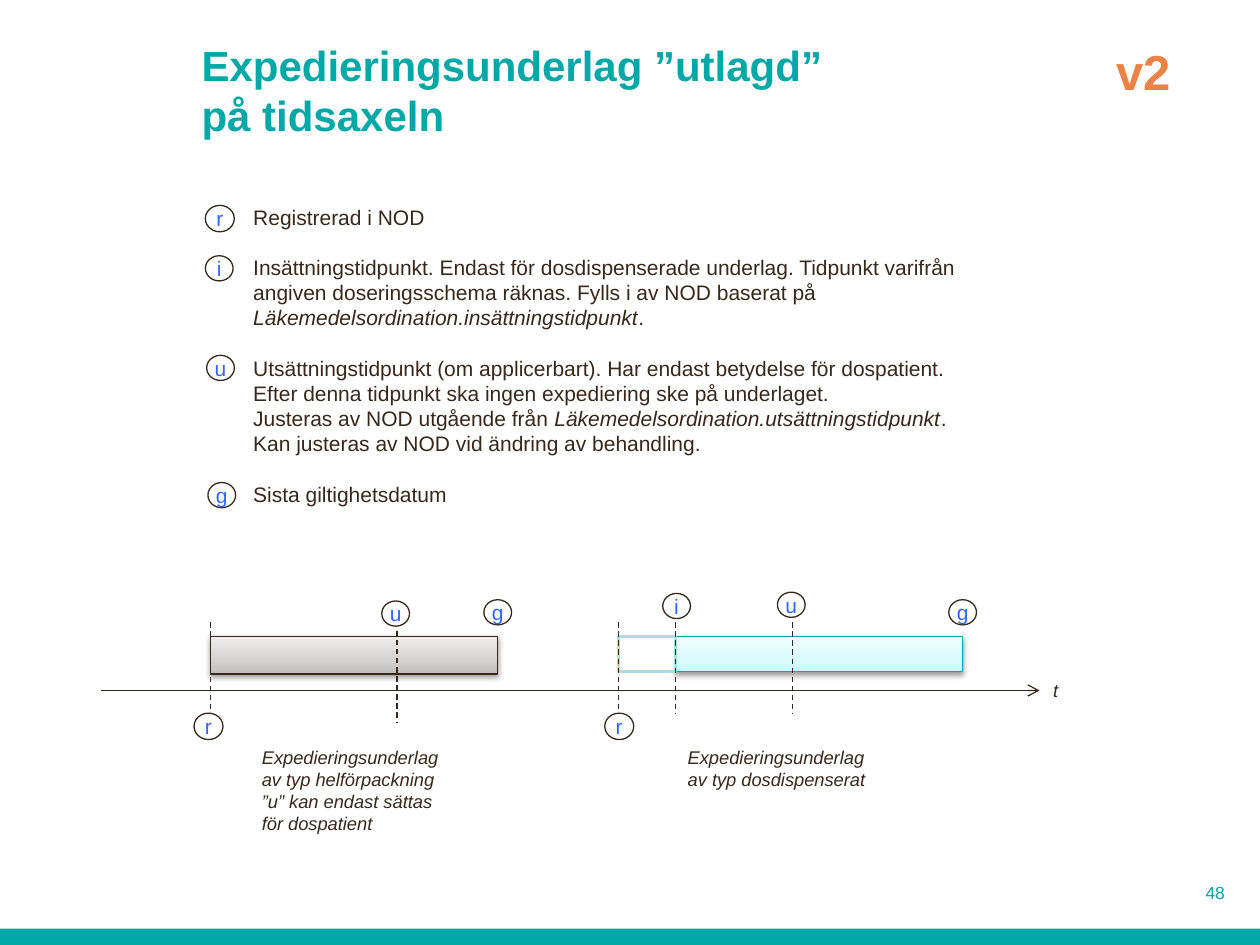
from copy import deepcopy

from lxml import etree
from pptx import Presentation
from pptx.dml.color import RGBColor
from pptx.enum.dml import MSO_LINE
from pptx.enum.shapes import MSO_CONNECTOR, MSO_SHAPE
from pptx.enum.text import MSO_ANCHOR, MSO_AUTO_SIZE, PP_ALIGN
from pptx.oxml import parse_xml
from pptx.oxml.ns import nsdecls, qn
from pptx.util import Inches, Pt

TEAL = RGBColor(0x00, 0xA9, 0xA7)
PALE_TEAL = RGBColor(0xAA, 0xDE, 0xE2)
BROWN = RGBColor(0x38, 0x28, 0x19)
BLUE = RGBColor(0x33, 0x66, 0xFF)
ORANGE = RGBColor(0xEB, 0x82, 0x46)
WHITE = RGBColor(0xFF, 0xFF, 0xFF)
GREY_STOPS = [(0, RGBColor(0xC1, 0xBD, 0xBB)), (0.35, RGBColor(0xD4, 0xD1, 0xCF)),
              (1, RGBColor(0xEF, 0xEE, 0xED))]
CYAN_STOPS = [(0, RGBColor(0xCC, 0xFB, 0xFF)), (0.35, RGBColor(0xDA, 0xFC, 0xFF)),
              (1, RGBColor(0xF1, 0xFE, 0xFF))]
RECT, OVAL = MSO_SHAPE.RECTANGLE, MSO_SHAPE.OVAL
STRAIGHT, DASH = MSO_CONNECTOR.STRAIGHT, MSO_LINE.DASH
LEFT, CENTER, RIGHT = PP_ALIGN.LEFT, PP_ALIGN.CENTER, PP_ALIGN.RIGHT
MIDDLE, BOTTOM, TOP = MSO_ANCHOR.MIDDLE, MSO_ANCHOR.BOTTOM, MSO_ANCHOR.TOP
NO_FIT = MSO_AUTO_SIZE.NONE


class TimelineSlide:
    """Holds the style and the current slide, and draws each kind of element."""

    font_name = "Arial"

    def __init__(self, slide):
        self.slide = slide

    def format_font(self, font, **values):
        for name, value in {"name": self.font_name, **values}.items():
            if name == "color":
                font.color.rgb = value
            else:
                setattr(font, name, value)

    def place(self, shape, box, anchor):
        for name, value in zip(("left", "top", "width", "height"), box):
            setattr(shape, name, Inches(value))
        frame = shape.text_frame
        for name, value in {"word_wrap": True, "auto_size": NO_FIT, "vertical_anchor": anchor}.items():
            setattr(frame, name, value)
        return frame

    def title(self, text, box):
        frame = self.place(self.slide.shapes.title, box, BOTTOM)
        frame.text = text
        heading = frame.paragraphs[0]
        heading.alignment = LEFT
        self.format_font(heading.font, size=Pt(24), bold=True, color=TEAL)

    def definitions(self, entries, box):
        frame = self.place(self.slide.placeholders[1], box, TOP)
        for index, entry in enumerate(entries):
            paragraph = frame.paragraphs[0] if index == 0 else frame.add_paragraph()
            properties = paragraph._p.get_or_add_pPr()
            properties.set("marL", "0")
            properties.set("indent", "0")
            etree.SubElement(properties, qn("a:buNone"))
            paragraph.space_before = Pt(14.4 if index else 0)
            for text, italic in entry:
                for number, line in enumerate(text.split("\n")):
                    if number:
                        paragraph.add_line_break()
                    run = paragraph.add_run()
                    run.text = line
                    self.format_font(run.font, size=Pt(12), italic=italic, color=BROWN)

    def label(self, text, box, size, color=BROWN, align=LEFT, **style):
        caption = self.slide.shapes.add_textbox(0, 0, 0, 0)
        paragraph = self.place(caption, box, TOP).paragraphs[0]
        paragraph.alignment = align
        run = paragraph.add_run()
        run.text = text
        self.format_font(run.font, size=Pt(size), color=color, **style)

    def shape(self, kind, box, fill, line=None, weight=0.75):
        shape = self.slide.shapes.add_shape(kind, *map(Inches, box))
        shape.shadow.inherit = False
        shape.fill.solid()
        shape.fill.fore_color.rgb = fill
        if line is None:
            shape.line.fill.background()
        else:
            shape.line.color.rgb = line
            shape.line.width = Pt(weight)
        return shape

    def period(self, box, stops, line):
        bar = self.shape(RECT, box, WHITE, line)
        bar.fill.gradient()
        bar.fill.gradient_angle = 90
        stop_list = bar._element.spPr.find(qn("a:gradFill")).find(qn("a:gsLst"))
        stop_list.append(deepcopy(stop_list[-1]))
        for stop, (position, color) in zip(bar.fill.gradient_stops, stops):
            stop.position = position
            stop.color.rgb = color
        bar._element.spPr.find(qn("a:effectLst")).append(parse_xml(
            f'<a:outerShdw {nsdecls("a")} blurRad="{Pt(3.1)}" dist="{Pt(1.6)}" dir="5400000" '
            'rotWithShape="0"><a:srgbClr val="000000"><a:alpha val="38000"/></a:srgbClr></a:outerShdw>'))

    def marker(self, letter, left, top):
        size = (0.23, 0.21) if letter == "r" else (0.22, 0.2)
        frame = self.shape(OVAL, (left, top, *size), WHITE, BROWN).text_frame
        for side in ("left", "top", "right", "bottom"):
            setattr(frame, f"margin_{side}", 0)
        frame.vertical_anchor = MIDDLE
        frame.word_wrap = True
        frame.text = letter
        frame.paragraphs[0].alignment = CENTER
        self.format_font(frame.paragraphs[0].runs[0].font, size=Pt(12), color=BLUE)

    def line(self, start, end, dashed=False, arrow=False):
        line = self.slide.shapes.add_connector(STRAIGHT, *map(Inches, (*start, *end)))
        line.line.color.rgb = BROWN
        line.line.width = Pt(0.75)
        if dashed:
            line.line.dash_style = DASH
        if arrow:
            etree.SubElement(line.line._get_or_add_ln(), qn("a:tailEnd"), type="arrow")
        etree.SubElement(line._element.spPr, qn("a:effectLst"))


def main():
    deck = Presentation()
    deck.slide_width, deck.slide_height = Inches(10), Inches(7.5)
    page = TimelineSlide(deck.slides.add_slide(deck.slide_layouts[1]))

    page.shape(RECT, (0, 7.37, 10, 0.13), TEAL)
    page.title("Expedieringsunderlag ”utlagd”\vpå tidsaxeln", (1.5, 0.4, 7.43, 0.76))
    page.label("v2", (8.44, 0.28, 1.27, 0.57), 28, ORANGE, CENTER, bold=True)
    page.label("48", (9.14, 6.95, 0.68, 0.24), 10, TEAL, RIGHT)
    page.definitions([
        [("Registrerad i NOD", False)],
        [("Insättningstidpunkt. Endast för dosdispenserade underlag. Tidpunkt varifrån angiven "
          "doseringsschema räknas. Fylls i av NOD baserat på ", False),
         ("Läkemedelsordination.insättningstidpunkt", True), (".", False)],
        [("Utsättningstidpunkt (om applicerbart). Har endast betydelse för dospatient. Efter denna "
          "tidpunkt ska ingen expediering ske på underlaget.\nJusteras av NOD utgående från ", False),
         ("Läkemedelsordination.utsättningstidpunkt", True),
         (". Kan justeras av NOD vid ändring av behandling.", False)],
        [("Sista giltighetsdatum", False)],
    ], (1.91, 1.57, 5.85, 2.52))

    page.period((1.67, 5.05, 2.28, 0.3), GREY_STOPS, BROWN)
    page.period((5.36, 5.05, 2.28, 0.28), CYAN_STOPS, TEAL)
    page.shape(RECT, (4.91, 5.05, 0.45, 0.28), WHITE, PALE_TEAL, 2)
    page.line((0.8, 5.48), (8.25, 5.48), arrow=True)
    page.label("t", (8.26, 5.34, 0.31, 0.28), 10.5, italic=True)
    for x, top in ((1.67, 4.94), (3.15, 5.01), (4.91, 4.94), (5.36, 4.94), (6.29, 4.94)):
        page.line((x, top), (x, top + 0.73), dashed=True)

    for letter, left, top in (
            ("r", 1.63, 1.63), ("i", 1.63, 2.03), ("u", 1.64, 2.82), ("g", 1.65, 3.83),
            ("r", 1.54, 5.66), ("u", 3.03, 4.77), ("g", 3.84, 4.76),
            ("r", 4.8, 5.66), ("i", 5.26, 4.71), ("u", 6.17, 4.7), ("g", 7.53, 4.76)):
        page.marker(letter, left, top)

    for text, left, height in (
            ("Expedieringsunderlag av typ helförpackning ”u” kan endast sättas för dospatient", 1.98, 0.81),
            ("Expedieringsunderlag av typ dosdispenserat", 5.36, 0.45)):
        page.label(text, (left, 5.87, 1.69, height), 10.5, italic=True)

    deck.save("out.pptx")


if __name__ == "__main__":
    main()
